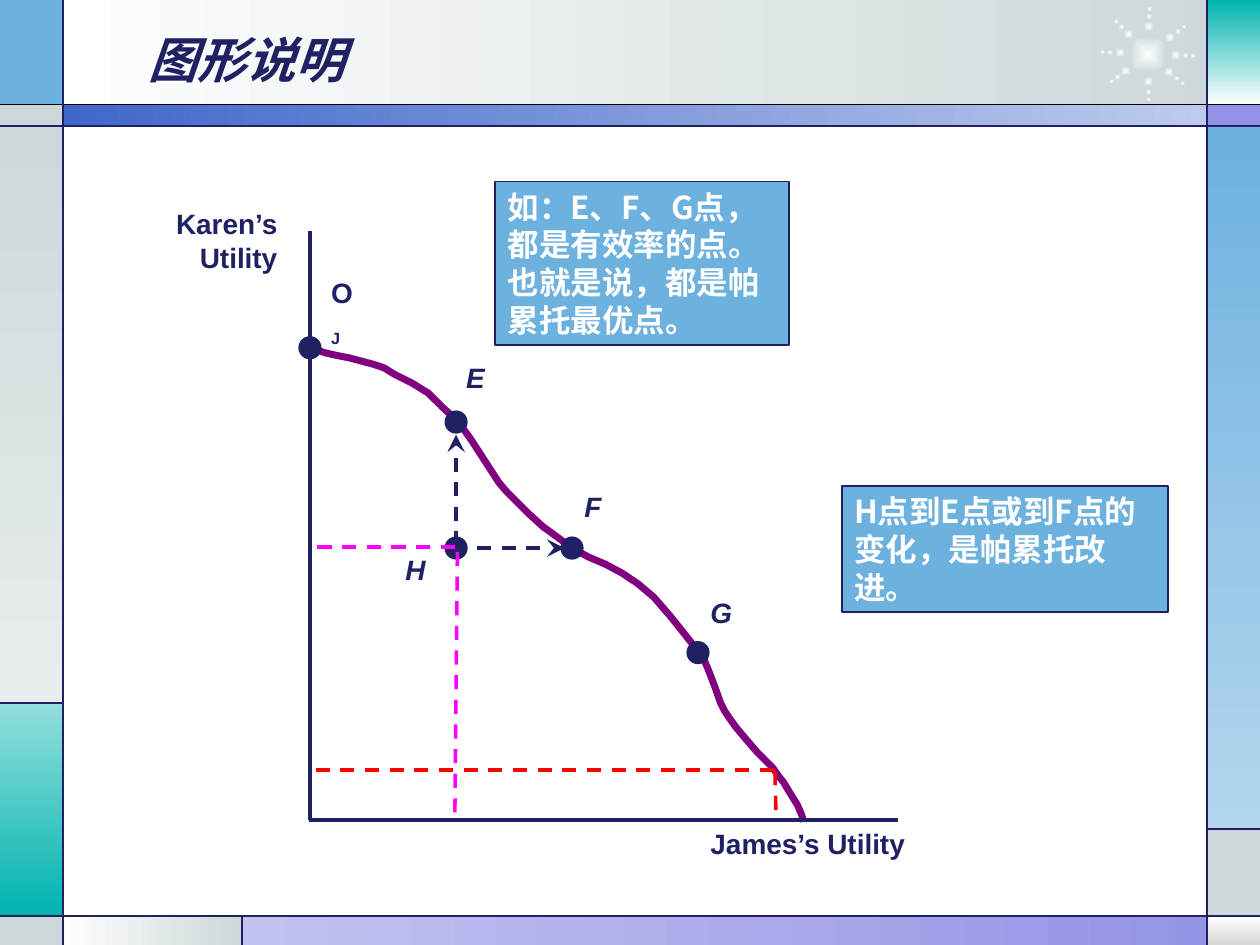
from itertools import product
from math import cos, radians, sin

from lxml.etree import SubElement
from pptx import Presentation
from pptx.dml.color import RGBColor
from pptx.enum.dml import MSO_LINE_DASH_STYLE as Dash
from pptx.enum.shapes import MSO_CONNECTOR as Connector, MSO_SHAPE as Shape
from pptx.enum.text import MSO_ANCHOR as Anchor, MSO_AUTO_SIZE as AutoSize, PP_ALIGN as Align
from pptx.oxml.ns import qn
from pptx.util import Inches, Pt

NAVY, BLUE, GREY, PALE = "1F2163", "6DB1DF", "CCD8DA", "FEFEFE"
TEAL, VIOLET, PURPLE, RED, MAGENTA = "00B4B0", "9292E6", "800080", "FF0000", "FF00FF"
WHITE, BLACK = "FFFFFF", "000000"
LATIN, CHINESE = "Arial", "Noto Sans CJK SC"
DOWN, LEFTWARD = 270, 180
HAIRLINE = 0.74

PANELS = [
    ((0.5, 0, 9.27, 0.84), (GREY, PALE), LEFTWARD),
    ((0, 0, 0.5, 0.84), (BLUE,), None),
    ((0, 0.83, 0.5, 0.17), (GREY,), None),
    ((0, 1, 0.5, 4.58), (GREY, "E8EDEE"), DOWN),
    ((0, 5.58, 0.5, 1.69), ("92DEDC", TEAL), DOWN),
    ((0, 7.27, 0.5, 0.23), (GREY,), None),
    ((0.5, 7.27, 1.43, 0.23), (GREY, PALE), LEFTWARD),
    ((1.92, 7.27, 8.08, 0.23), (VIOLET, "C2C2F0"), LEFTWARD),
    ((9.59, 7.27, 0.41, 0.23), (WHITE, "D7D7D7"), DOWN),
    ((9.58, 6.58, 0.42, 0.69), (GREY,), None),
    ((9.58, 1, 0.42, 5.58), (BLUE, "B3D6ED"), DOWN),
    ((9.58, 0.83, 0.42, 0.17), (VIOLET,), None),
    ((9.58, 0, 0.42, 0.83), (TEAL, PALE), DOWN),
    ((0.5, 0.83, 9.09, 0.17), ("BECBEC", "4067CA"), LEFTWARD),
]
RULES = [
    (0, 1, 10, 1), (0, 7.27, 10, 7.27), (0.5, 0, 0.5, 7.5), (9.58, 0, 9.58, 7.5),
    (0, 5.58, 0.5, 5.58), (1.92, 7.27, 1.92, 7.5), (9.58, 6.58, 10, 6.58),
]
SUN_CENTRE = (9.11, 0.43)
RAY_ANGLES = (2, 40, 89, 143, 183, 226, 272, 323)
RAY_DOTS = ((0.3, 0.05), (0.36, 0.04), (0.22, 0.08))
FRONTIER = [
    (2.45, 2.77), (2.52, 2.78), (2.58, 2.8), (2.67, 2.82), (2.77, 2.84), (2.96, 2.89),
    (3.05, 2.92), (3.13, 2.97), (3.27, 3.04), (3.4, 3.12), (3.51, 3.23), (3.63, 3.34),
    (3.69, 3.42), (3.74, 3.49), (3.85, 3.66), (3.96, 3.83), (4.02, 3.9), (4.09, 3.97),
    (4.2, 4.08), (4.31, 4.18), (4.42, 4.26), (4.54, 4.35), (4.67, 4.42), (4.81, 4.48),
    (4.94, 4.55), (5.06, 4.63), (5.19, 4.74), (5.32, 4.89), (5.44, 5.04), (5.55, 5.18),
    (5.59, 5.24), (5.62, 5.31), (5.67, 5.44), (5.72, 5.58), (5.75, 5.64), (5.79, 5.7),
    (5.84, 5.77), (5.89, 5.83), (6.01, 5.97), (6.13, 6.09), (6.18, 6.16), (6.22, 6.21),
    (6.28, 6.31), (6.33, 6.39), (6.36, 6.46), (6.38, 6.52),
]
GUIDES = [
    ((6.14, 6.11, 2.46, 6.11), RED), ((6.15, 6.12, 6.16, 6.51), RED),
    ((3.61, 4.34, 2.48, 4.34), MAGENTA), ((3.63, 4.38, 3.61, 6.5), MAGENTA),
]
POINTS = [(3.62, 4.35), (2.46, 2.76), (4.54, 4.35), (3.62, 3.35), (5.54, 5.18)]
POINT_LABELS = [
    ("H", (3.12, 4.34, 0.36, 0.36)), ("E", (3.6, 2.81, 0.35, 0.36)),
    ("F", (4.54, 3.84, 0.33, 0.36)), ("G", (5.54, 4.68, 0.37, 0.36)),
]
CALLOUTS = [
    ("H点到E点或到F点的变化，是帕累托改进。", (6.68, 3.86, 2.59, 1)),
    ("如：E、F、G点，都是有效率的点。也就是说，都是帕累托最优点。", (3.93, 1.44, 2.33, 1.3)),
]


def rgb(value):
    """Turn a hex string into a colour."""
    return RGBColor.from_string(value)


def place(box):
    """Turn inches into lengths."""
    return [Inches(length) for length in box]


def style_text(frame, size, color, font, italic=False, align=Align.LEFT):
    """Format every paragraph of a text frame alike."""
    for paragraph in frame.paragraphs:
        paragraph.alignment = align
        paragraph._p.get_or_add_pPr().set("hangingPunct", "0")
        style = paragraph.font
        style.size, style.bold, style.italic, style.name = Pt(size), True, italic, font
        style.color.rgb = rgb(color)
        for run in paragraph.runs:
            SubElement(run._r.get_or_add_rPr(), qn("a:ea"), typeface=font)


def add_filled(shapes, kind, box, colors, angle=None, outline=None):
    """Add a preset shape with a solid or two-colour fill."""
    shape = shapes.add_shape(kind, *place(box))
    shape.shadow.inherit = False
    if len(colors) == 1:
        shape.fill.solid()
        shape.fill.fore_color.rgb = rgb(colors[0])
    else:
        shape.fill.gradient()
        for stop, color in zip(shape.fill.gradient_stops, colors):
            stop.color.rgb = rgb(color)
        if angle is not None:
            shape.fill.gradient_angle = angle
    if outline:
        shape.line.color.rgb = rgb(outline)
        shape.line.width = Pt(1)
    else:
        shape.line.fill.background()
    return shape


def add_line(shapes, ends, color, width=2, dashed=False, arrow=False):
    """Add a straight line, dashed or with an arrowhead at its end."""
    line = shapes.add_connector(Connector.STRAIGHT, *place(ends))
    line.line.color.rgb = rgb(color)
    line.line.width = Pt(width)
    if dashed:
        line.line.dash_style = Dash.DASH
    if arrow:
        SubElement(line.line._get_or_add_ln(), qn("a:tailEnd"), type="stealth", w="lg", len="lg")
    SubElement(line._element.spPr, qn("a:effectLst"))


def add_label(shapes, text, box, italic=False, align=Align.LEFT, wrap=False):
    """Add a bold diagram label and return its text frame."""
    frame = shapes.add_textbox(*place(box)).text_frame
    frame.word_wrap = wrap
    frame.auto_size = AutoSize.SHAPE_TO_FIT_TEXT
    frame.text = text
    style_text(frame, 16, NAVY, LATIN, italic, align)
    return frame


def add_callout(shapes, text, box):
    """Add a blue box with white text."""
    frame = add_filled(shapes, Shape.RECTANGLE, box, (BLUE,), outline=NAVY).text_frame
    frame.word_wrap = True
    frame.vertical_anchor = Anchor.TOP
    frame.text = text
    style_text(frame, 18, WHITE, CHINESE)


def add_glow(shapes, x, y, size):
    """Add a round glow that fades out from its centre."""
    box = (x - size / 2, y - size / 2, size, size)
    glow = add_filled(shapes, Shape.OVAL, box, (PALE, GREY))
    gradient = glow._element.spPr.find(qn("a:gradFill"))
    gradient.remove(gradient.find(qn("a:lin")))
    fade = SubElement(gradient, qn("a:path"), path="rect")
    SubElement(fade, qn("a:fillToRect"), l="50000", t="50000", r="50000", b="50000")


def add_sun(shapes):
    """Add the sun with its rays of dots."""
    x, y = SUN_CENTRE
    add_glow(shapes, x, y, 0.3)
    for angle, (reach, size) in product(RAY_ANGLES, RAY_DOTS):
        turn = radians(angle)
        add_glow(shapes, x + reach * cos(turn), y + reach * sin(turn), size)


def add_frame(shapes):
    """Add the coloured panels and rules around the slide."""
    for box, colors, angle in PANELS:
        add_filled(shapes, Shape.RECTANGLE, box, colors, angle)
    add_sun(shapes)
    add_line(shapes, (0, 0.83, 10, 0.83), BLACK, HAIRLINE)
    for ends in RULES:
        add_line(shapes, ends, NAVY, HAIRLINE)


def add_title(shapes, text):
    """Fill the title placeholder and bring it to the front."""
    title = shapes.title
    title.left, title.top, title.width, title.height = place((1.08, 0.13, 7.33, 0.62))
    frame = title.text_frame
    frame.text = text
    frame.auto_size = AutoSize.NONE
    frame.vertical_anchor = Anchor.BOTTOM
    style_text(frame, 28, NAVY, CHINESE, italic=True)
    shapes._spTree.append(title._element)


def add_frontier(shapes):
    """Add the utility frontier as an open outline."""
    start, *rest = [place(point) for point in FRONTIER]
    builder = shapes.build_freeform(*start)
    builder.add_line_segments(rest, close=False)
    curve = builder.convert_to_shape()
    curve.shadow.inherit = False
    curve.fill.background()
    curve.line.color.rgb = rgb(PURPLE)
    curve.line.width = Pt(4)


def add_diagram(shapes):
    """Add the axes, frontier, points, guides and their texts."""
    add_frontier(shapes)
    for x, y in POINTS:
        add_filled(shapes, Shape.OVAL, (x - 0.085, y - 0.085, 0.17, 0.17), (NAVY,), outline=NAVY)
    for ends in ((3.62, 4.33, 3.62, 3.45), (3.59, 4.35, 4.48, 4.35)):
        add_line(shapes, ends, NAVY, dashed=True, arrow=True)
    for ends in ((2.46, 1.83, 2.46, 6.51), (2.45, 6.51, 7.13, 6.51)):
        add_line(shapes, ends, NAVY)
    for ends, color in GUIDES:
        add_line(shapes, ends, color, dashed=True)
    for text, box in POINT_LABELS:
        add_label(shapes, text, box, italic=True)
    add_label(shapes, "James’s Utility", (5.54, 6.51, 1.75, 0.36))
    add_label(shapes, "Karen’s\nUtility", (1.29, 1.59, 1.01, 0.63), align=Align.RIGHT, wrap=True)
    origin = add_label(shapes, "O", (2.53, 2.14, 0.44, 0.4)).paragraphs[0]
    subscript = origin.add_run()
    subscript.text = "J"
    subscript._r.get_or_add_rPr().set("baseline", "-25000")
    for text, box in CALLOUTS:
        add_callout(shapes, text, box)


def main():
    """Build and save the slide."""
    deck = Presentation()
    deck.slide_width, deck.slide_height = Inches(10), Inches(7.5)
    shapes = deck.slides.add_slide(deck.slide_layouts[5]).shapes
    add_frame(shapes)
    add_title(shapes, "图形说明")
    add_diagram(shapes)
    deck.save("out.pptx")


main()
